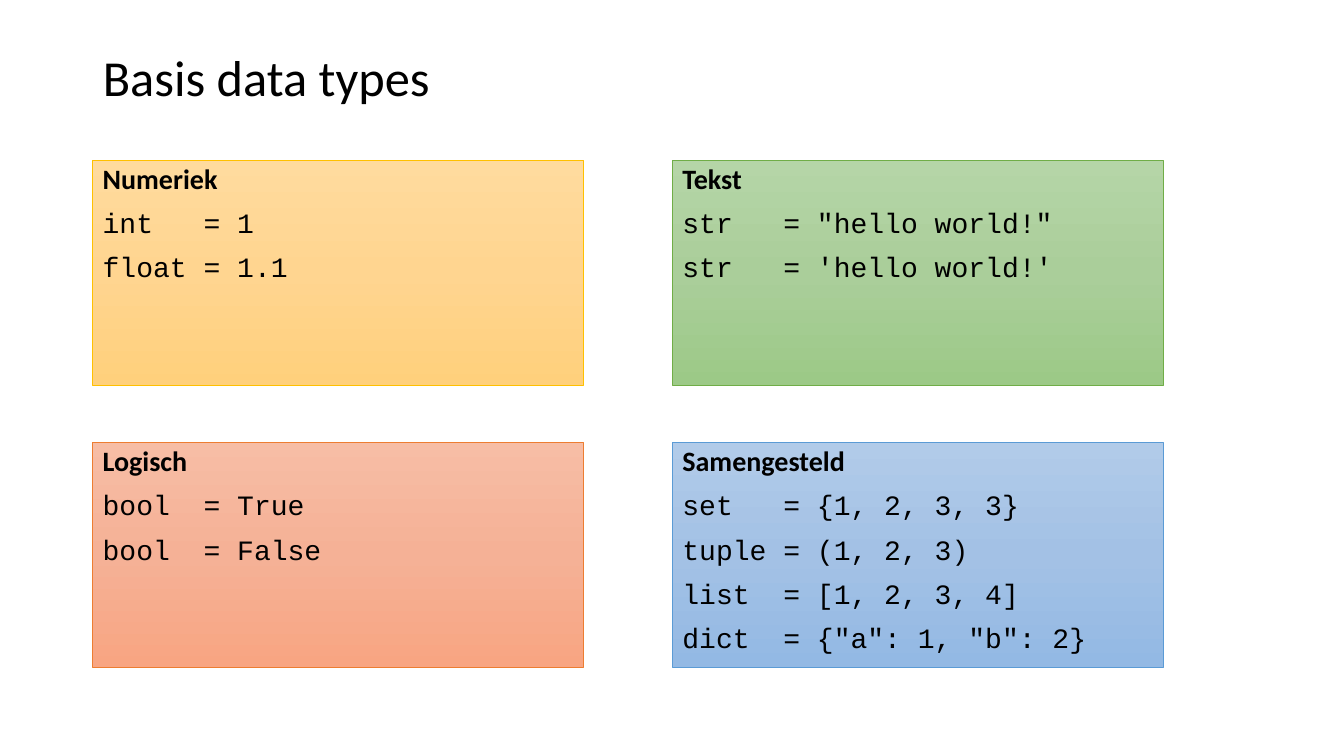
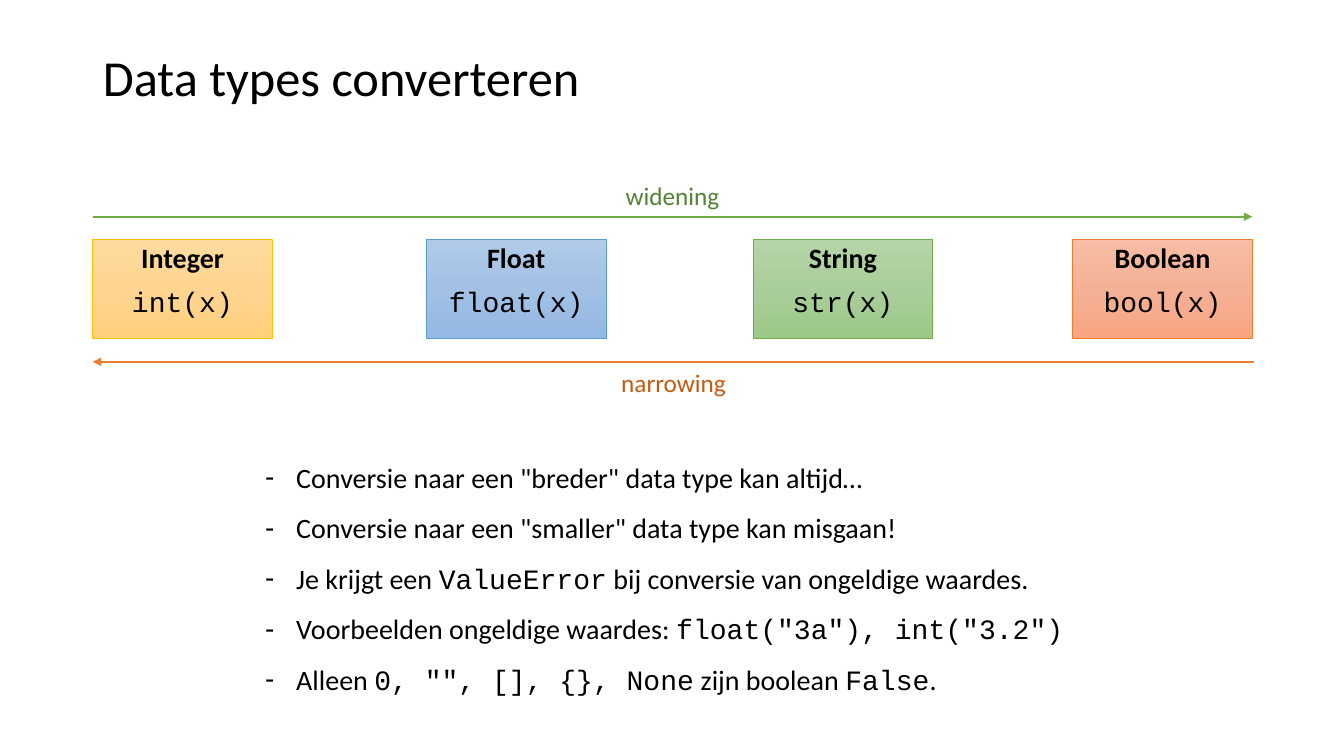
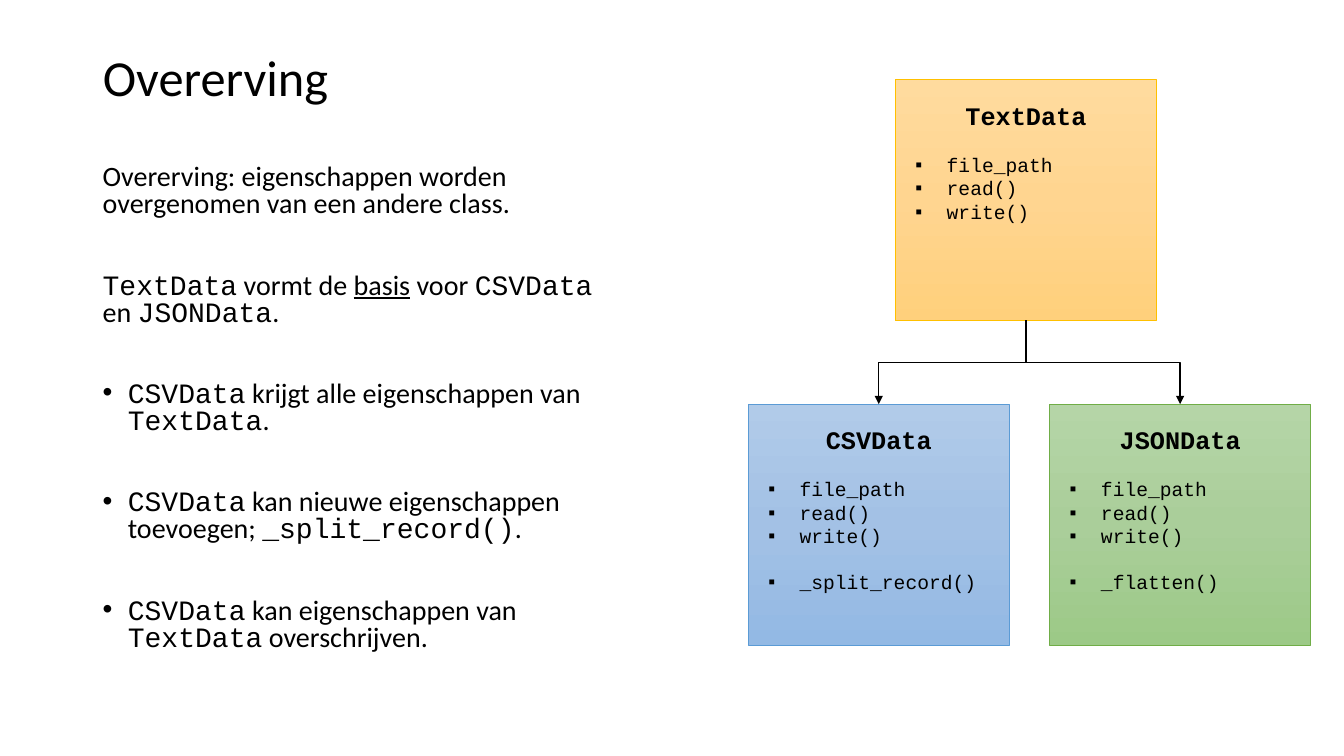
import copy

import pptx
import pptx.dml.color
import pptx.enum.shapes
import pptx.enum.text
import pptx.oxml
import pptx.oxml.ns
import pptx.util
from pptx.util import Inches, Pt

qn = pptx.oxml.ns.qn
ALIGN = pptx.enum.text.PP_ALIGN
CONNECTOR = pptx.enum.shapes.MSO_CONNECTOR

BODY_FONT = "Calibri"
CODE_FONT = "Courier New"
COLORS = {
    "text": "000000",
    "widening": "70AD47",
    "widening_label": "548235",
    "narrowing": "ED7D31",
    "narrowing_label": "C55A11",
}
# Each theme: three gradient stops from top to bottom, then the outline.
BOX_THEMES = {
    "yellow": ("FFDB9E", "FFD590", "FFD07C", "FFC000"),
    "blue": ("B1CBE9", "A3C1E5", "93B9E4", "5B9BD5"),
    "green": ("B5D5A7", "AACE9A", "9CC987", "70AD47"),
    "orange": ("F7BDA5", "F5B196", "F8A582", "ED7D31"),
}
LEFT, CONTENT_TOP, CONTENT_WIDTH = 0.92, 1.59, 11.5


def rgb(value):
    return pptx.dml.color.RGBColor.from_string(value)


def add_runs(p, text, size, color=COLORS["text"], bold=False):
    """Add marked-up text: `code` is monospaced and ~words~ are underlined."""
    for i, part in enumerate(text.split("`")):
        for j, piece in enumerate(part.split("~")):
            if not piece:
                continue
            r = p.add_run()
            r.text = piece
            r.font.name = CODE_FONT if i % 2 else BODY_FONT
            r.font.size = Pt(size)
            r.font.bold = bold
            r.font.color.rgb = rgb(color)
            if j % 2:
                r.font.underline = True


def set_bullet(p, char, indent):
    pPr = p._p.get_or_add_pPr()
    pPr.set("marL", str(Inches(indent)))
    pPr.set("indent", str(-Inches(indent)))
    pptx.oxml.ns  # namespace map used by the elements below
    for tag, name, value in (("a:buFont", "typeface", "Arial"), ("a:buChar", "char", char)):
        pPr.append(pPr.makeelement(qn(tag), {name: value}))


def add_paragraph(tf, text, size=20, bold=False, align=ALIGN.LEFT, before=0,
                  spacing=None, bullet=None, indent=0.31):
    """Fill the empty first paragraph, or append one with space before it."""
    p = tf.paragraphs[0]
    if p.runs:
        p = tf.add_paragraph()
        p.space_before = Pt(before)
    if bullet:
        set_bullet(p, bullet, indent)
    p.alignment = align
    if spacing:
        p.line_spacing = spacing
    add_runs(p, text, size, bold=bold)


def add_title_slide(prs, title):
    """Add a title-only slide with the shared title style."""
    s = prs.slides.add_slide(prs.slide_layouts[5])
    sp = s.shapes.title
    sp.left, sp.top = Inches(LEFT), Inches(0.4)
    sp.width, sp.height = Inches(CONTENT_WIDTH), Inches(0.79)
    tf = sp.text_frame
    tf.auto_size = pptx.enum.text.MSO_AUTO_SIZE.NONE
    tf.vertical_anchor = pptx.enum.text.MSO_ANCHOR.MIDDLE
    add_paragraph(tf, title, size=36, spacing=0.9)
    return s


def add_text_box(s, left, top, width, height, wrap=True):
    box = s.shapes.add_textbox(Inches(left), Inches(top), Inches(width), Inches(height))
    box.text_frame.word_wrap = wrap
    return box.text_frame


def add_gradient_box(s, theme, left, top, width, height):
    *stops, outline = BOX_THEMES[theme]
    sp = s.shapes.add_shape(pptx.enum.shapes.MSO_SHAPE.RECTANGLE,
                            Inches(left), Inches(top), Inches(width), Inches(height))
    sp.shadow.inherit = False
    sp.fill.gradient()
    sp.fill.gradient_angle = 270
    stop_list = sp._element.spPr.find(qn("a:gradFill")).find(qn("a:gsLst"))
    stop_list.insert(1, copy.deepcopy(stop_list[0]))
    for stop, position, color in zip(sp.fill.gradient_stops, (0, 0.5, 1), stops):
        stop.position = position
        stop.color.rgb = rgb(color)
    sp.line.color.rgb = rgb(outline)
    sp.line.width = Pt(0.5)
    sp.text_frame.word_wrap = True
    sp.text_frame.vertical_anchor = pptx.enum.text.MSO_ANCHOR.TOP
    return sp


def add_type_box(s, theme, heading, code_lines, left, top, width, height, align=ALIGN.LEFT):
    tf = add_gradient_box(s, theme, left, top, width, height).text_frame
    add_paragraph(tf, heading, bold=True, align=align, spacing=0.9)
    for line in code_lines:
        add_paragraph(tf, f"`{line}`", align=align, before=10, spacing=0.9)


def add_arrow(s, kind, x1, y1, x2, y2, color, width):
    c = s.shapes.add_connector(kind, Inches(x1), Inches(y1), Inches(x2), Inches(y2))
    c.line.color.rgb = rgb(color)
    c.line.width = Pt(width)
    ln = c.line._get_or_add_ln()
    ln.append(ln.makeelement(qn("a:tailEnd"), {"type": "triangle"}))
    spPr = c._element.spPr
    spPr.append(spPr.makeelement(qn("a:effectLst"), {}))
    return c


def add_labelled_arrow(s, name, x1, x2, y, label_top, label_width):
    """Draw a horizontal arrow with its name centred on it."""
    add_arrow(s, CONNECTOR.STRAIGHT, x1, y, x2, y, COLORS[name], 1.5)
    left = (x1 + x2 - label_width) / 2
    p = add_text_box(s, left, label_top, label_width, 0.4, wrap=False).paragraphs[0]
    p.alignment = ALIGN.CENTER
    add_runs(p, name, 18, COLORS[f"{name}_label"])


def add_class_box(s, name, theme, member_groups, left, top):
    """Draw a class with its members; groups are set apart by a line's height."""
    sp = add_gradient_box(s, theme, left, top, 2.59, 2.39)
    tf = sp.text_frame
    tf.margin_left = tf.margin_top = tf.margin_right = tf.margin_bottom = Inches(0.2)
    add_paragraph(tf, f"`{name}`", size=18, bold=True, align=ALIGN.CENTER)
    for group in member_groups:
        for i, member in enumerate(group):
            add_paragraph(tf, f"`{member}`", size=14, before=0 if i else 16, bullet="▪")
    return sp


def add_inheritance_arrow(s, parent, child):
    """Join the parent's bottom to the child's top with a down-across-down elbow."""
    c = add_arrow(s, CONNECTOR.ELBOW, 0, 0, 1, 1, COLORS["text"], 1)
    c.begin_connect(parent, 2)
    c.end_connect(child, 0)
    x1, y1 = parent.left + parent.width // 2, parent.top + parent.height
    x2, y2 = child.left + child.width // 2, child.top
    # The elbow starts out horizontal, so its frame is turned a quarter.
    c.width, c.height = y2 - y1, abs(x2 - x1)
    c.left = (x1 + x2 - c.width) // 2
    c.top = (y1 + y2 - c.height) // 2
    to_right = x2 > x1
    c.rotation = 270 if to_right else 90
    xfrm = c._element.spPr.find(qn("a:xfrm"))
    xfrm.set("flipH", "1" if to_right else "0")
    xfrm.set("flipV", "0")


def build_data_types(prs):
    s = add_title_slide(prs, "Basis data types")
    boxes = [
        ("yellow", "Numeriek", ["int   = 1", "float = 1.1"]),
        ("green", "Tekst", ["str   = \"hello world!\"", "str   = 'hello world!'"]),
        ("orange", "Logisch", ["bool  = True", "bool  = False"]),
        ("blue", "Samengesteld", ["set   = {1, 2, 3, 3}", "tuple = (1, 2, 3)",
                                  "list  = [1, 2, 3, 4]", 'dict  = {"a": 1, "b": 2}']),
    ]
    for i, (theme, heading, code_lines) in enumerate(boxes):
        row, col = divmod(i, 2)
        add_type_box(s, theme, heading, code_lines,
                     LEFT + 5.75 * col, CONTENT_TOP + 2.8 * row, 4.87, 2.23)


def build_conversion(prs):
    s = add_title_slide(prs, "Data types converteren")
    boxes = [
        ("yellow", "Integer", "int(x)", LEFT),
        ("blue", "Float", "float(x)", 4.23),
        ("green", "String", "str(x)", 7.47),
        ("orange", "Boolean", "bool(x)", 10.64),
    ]
    for theme, heading, call, left in boxes:
        add_type_box(s, theme, heading, [call], left, 2.37, 1.78, 0.99, ALIGN.CENTER)

    right = LEFT + CONTENT_WIDTH
    add_labelled_arrow(s, "widening", LEFT, right, 2.15, 1.74, 1.14)
    add_labelled_arrow(s, "narrowing", right + 0.02, LEFT, 3.59, 3.59, 1.25)

    tf = add_text_box(s, 2.53, 4.52, 8.28, 2.44)
    for text in (
        'Conversie naar een "breder" data type kan altijd…',
        'Conversie naar een "smaller" data type kan misgaan!',
        "Je krijgt een `ValueError` bij conversie van ongeldige waardes.",
        'Voorbeelden ongeldige waardes: `float("3a"), int("3.2")`',
        'Alleen `0, "", [], {}, None` zijn boolean `False`.',
    ):
        add_paragraph(tf, text, before=12, bullet="-")


def build_inheritance(prs):
    s = add_title_slide(prs, "Overerving")
    tf = add_text_box(s, LEFT, CONTENT_TOP, 5.4, 5.16)
    for text, bullet in (
        ("Overerving: eigenschappen worden overgenomen van een andere class.", None),
        ("`TextData` vormt de ~basis~ voor `CSVData `en `JSONData`.", None),
        ("`CSVData` krijgt alle eigenschappen van `TextData`.", "•"),
        ("`CSVData` kan nieuwe eigenschappen toevoegen; `_split_record()`.", "•"),
        ("`CSVData` kan eigenschappen van `TextData` overschrijven.", "•"),
    ):
        add_paragraph(tf, text, before=39, spacing=0.8, bullet=bullet, indent=0.25)

    members = ["file_path", "read()", "write()"]
    parent = add_class_box(s, "TextData", "yellow", [members], 8.88, 0.79)
    for name, theme, own_method, left in (
        ("CSVData", "blue", "_split_record()", 7.42),
        ("JSONData", "green", "_flatten()", 10.41),
    ):
        child = add_class_box(s, name, theme, [members, [own_method]], left, 4.01)
        add_inheritance_arrow(s, parent, child)


def main():
    prs = pptx.Presentation()
    prs.slide_width, prs.slide_height = Inches(13.33), Inches(7.5)
    build_data_types(prs)
    build_conversion(prs)
    build_inheritance(prs)
    prs.save("out.pptx")


if __name__ == "__main__":
    main()
